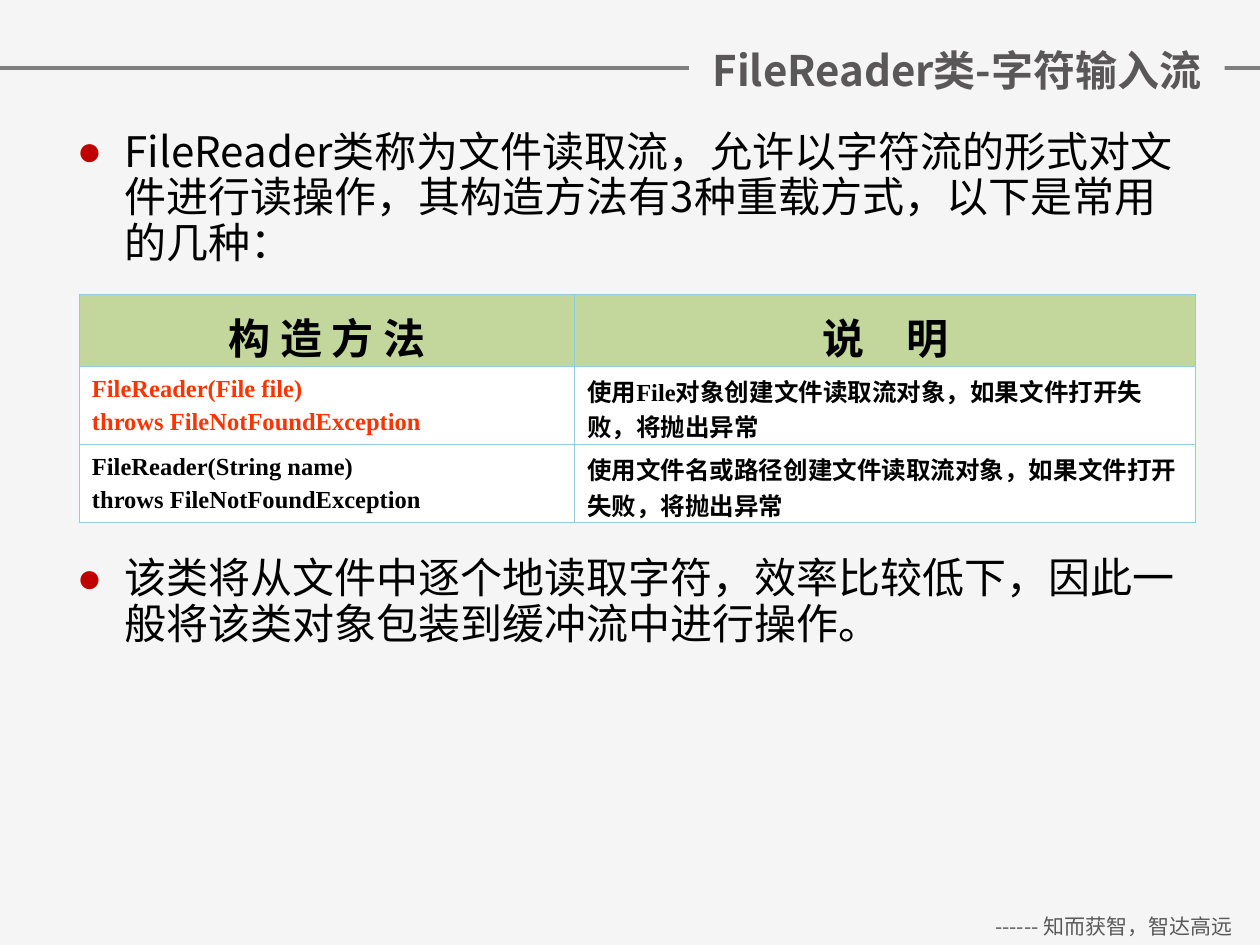
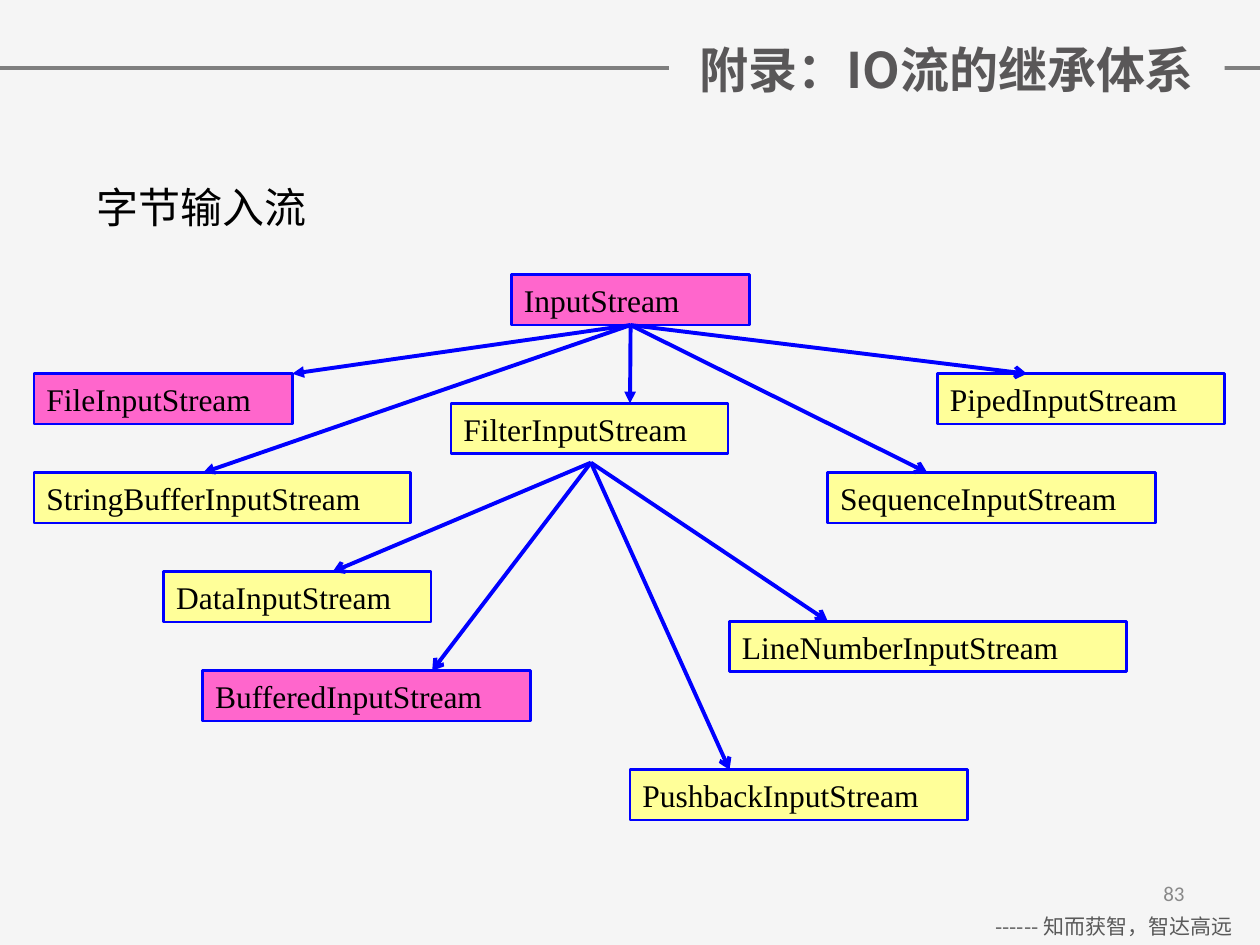
from collections import namedtuple
from dataclasses import dataclass

from lxml.etree import SubElement
from pptx import Presentation
from pptx.dml.color import RGBColor
from pptx.enum.shapes import MSO_CONNECTOR as CONN, MSO_SHAPE as SHAPE
from pptx.enum.text import MSO_ANCHOR as ANCHOR, MSO_AUTO_SIZE as AUTO, PP_ALIGN as ALIGN
from pptx.oxml.ns import qn
from pptx.util import Inches, Pt

Box = namedtuple("Box", "left top width height")
Node = namedtuple("Node", "name left width level fill")
Link = namedtuple("Link", "parent child tip head")


@dataclass(frozen=True)
class Theme:
    sans: str = "Noto Sans CJK SC"
    serif: str = "Times New Roman"
    number: str = "Calibri"
    paper: str = "F5F5F5"
    rule: str = "7F7F7F"
    title: str = "595758"
    footer: str = "595959"
    page: str = "898989"
    ink: str = "000000"
    bullet: str = "C00000"
    header: str = "C3D69B"
    cell: str = "FFFFFF"
    grid: str = "93CDDD"
    accent: str = "FF3300"
    key: str = "FF66CC"
    plain: str = "FFFF99"
    edge: str = "0000FF"
    small: int = 12
    code: int = 14
    label: int = 18
    body: int = 24
    large: int = 28


T = Theme()


def rgb(value):
    return RGBColor.from_string(value)


def inches(box):
    return [Inches(v) for v in box]


def add_run(p, text, size, color=T.ink, font=T.sans, bold=False):
    r = p.add_run()
    r.text = text
    r.font.size = Pt(size)
    r.font.bold = bold
    r.font.name = font
    r.font.color.rgb = rgb(color)
    SubElement(r.font._element, qn("a:ea"), typeface=T.sans)


def add_label(slide, box, text, size, color=T.ink, font=T.sans, align=ALIGN.LEFT):
    tf = slide.shapes.add_textbox(*inches(box)).text_frame
    tf.word_wrap = True
    tf.vertical_anchor = ANCHOR.MIDDLE
    p = tf.paragraphs[0]
    p.alignment = align
    add_run(p, text, size, color, font)


def add_line(slide, start, end, color, width, head=None):
    ends = [Inches(v) for v in (*start, *end)]
    line = slide.shapes.add_connector(CONN.STRAIGHT, *ends)
    line.line.color.rgb = rgb(color)
    line.line.width = Pt(width)
    if head:
        SubElement(line.line._get_or_add_ln(), qn("a:tailEnd"), type=head)
    SubElement(line._element.spPr, qn("a:effectLst"))
    return line


def place(sp, box):
    sp.left, sp.top, sp.width, sp.height = inches(box)


def add_title(slide, box, text, size):
    sp = slide.shapes.title
    place(sp, box)
    sp.fill.solid()
    sp.fill.fore_color.rgb = rgb(T.paper)
    tf = sp.text_frame
    tf.auto_size = AUTO.NONE
    tf.word_wrap = True
    tf.vertical_anchor = ANCHOR.MIDDLE
    p = tf.paragraphs[0]
    p.alignment = ALIGN.CENTER
    p.line_spacing = 1.0
    add_run(p, text, size, T.title, bold=True)


def style_master(prs, slide):
    master = prs.slide_master
    master.background.fill.solid()
    master.background.fill.fore_color.rgb = rgb(T.paper)
    add_line(slide, (0, 0.54), (10, 0.54), T.rule, 2)
    add_label(slide, Box(7.68, 7.2, 2.32, 0.3), "------ 知而获智，智达高远",
              T.small, T.footer, align=ALIGN.CENTER)
    for sp in list(slide.shapes)[-2:]:
        master.element.cSld.spTree.append(sp._element)


def add_bullets(slide, box, items):
    sp = slide.placeholders[1]
    place(sp, box)
    tf = sp.text_frame
    tf.auto_size = AUTO.NONE
    tf.vertical_anchor = ANCHOR.TOP
    for i, (text, before) in enumerate(items):
        p = tf.add_paragraph() if i else tf.paragraphs[0]
        p.line_spacing = 0.9
        p.space_before = Pt(before)
        pPr = p._p.get_or_add_pPr()
        pPr.set("marL", str(Inches(0.38)))
        pPr.set("indent", str(-Inches(0.38)))
        SubElement(SubElement(pPr, qn("a:buClr")), qn("a:srgbClr"), val=T.bullet)
        SubElement(pPr, qn("a:buChar"), char="●")
        add_run(p, text, T.body)


def set_borders(cell):
    tcPr = cell._tc.get_or_add_tcPr()
    for i, side in enumerate(("lnL", "lnR", "lnT", "lnB")):
        ln = SubElement(tcPr, qn(f"a:{side}"), w=str(Pt(0.75)))
        SubElement(SubElement(ln, qn("a:solidFill")), qn("a:srgbClr"), val=T.grid)
        tcPr.insert(i, ln)


def fill_cell(cell, lines, color, header):
    cell.fill.solid()
    cell.fill.fore_color.rgb = rgb(T.header if header else T.cell)
    cell.vertical_anchor = ANCHOR.MIDDLE
    cell.margin_top = Pt(6 if header else 0 if len(lines) > 1 else 3.5)
    cell.margin_bottom = 0
    set_borders(cell)
    for i, text in enumerate(lines):
        p = cell.text_frame.add_paragraph() if i else cell.text_frame.paragraphs[0]
        p.space_before = Pt(3.5 if i else 0)
        p._p.get_or_add_pPr().set("hangingPunct", "0")
        if header:
            p.alignment = ALIGN.CENTER
            add_run(p, text, T.body, bold=True)
        else:
            add_run(p, text, T.code, color, T.serif, bold=True)


def add_constructor_table(slide, box, rows):
    table = slide.shapes.add_table(len(rows), 2, *inches(box)).table
    for col, width in zip(table.columns, (3.93, box.width - 3.93)):
        col.width = Inches(width)
    for y, (color, *cells) in enumerate(rows):
        table.rows[y].height = Inches(0.62 if y else 0.5)
        for x, lines in enumerate(cells):
            fill_cell(table.cell(y, x), lines, T.ink if x else color, y == 0)


def add_node(slide, box, text, fill):
    sp = slide.shapes.add_shape(SHAPE.RECTANGLE, *inches(box))
    sp.shadow.inherit = False
    sp.fill.solid()
    sp.fill.fore_color.rgb = rgb(fill)
    sp.line.color.rgb = rgb(T.edge)
    sp.line.width = Pt(1.5)
    sp.text_frame.vertical_anchor = ANCHOR.MIDDLE
    p = sp.text_frame.paragraphs[0]
    p.alignment = ALIGN.LEFT
    add_run(p, text, T.label, font=T.serif)
    return sp


def add_stream_tree(slide, box, nodes, links):
    step = (box.height - 0.4) / max(n.level for n in nodes)
    tops = {n.name: box.top + step * n.level for n in nodes}
    shapes = {n.name: add_node(slide, Box(box.left + n.left, tops[n.name], n.width, 0.4),
                               n.name, n.fill) for n in nodes}
    root = nodes[0].name
    fork = (box.left + 4.42, tops["FilterInputStream"] + 0.47)
    for link in links:
        end = (box.left + link.tip, tops[link.child])
        line = add_line(slide, fork, end, T.edge, 2.25, link.head)
        if link.parent == root:
            line.begin_connect(shapes[root], 2)


def build_file_reader(prs):
    slide = prs.slides.add_slide(prs.slide_layouts[1])
    style_master(prs, slide)
    add_title(slide, Box(5.47, 0.1, 4.25, 0.9), "FileReader类-字符输入流", T.body)
    add_bullets(slide, Box(0.51, 0.99, 9, 4.77), [
        ("FileReader类称为文件读取流，允许以字符流的形式对文件进行读操作，"
         "其构造方法有3种重载方式，以下是常用的几种：", 0),
        ("该类将从文件中逐个地读取字符，效率比较低下，"
         "因此一般将该类对象包装到缓冲流中进行操作。", 166),
    ])
    throws = "throws FileNotFoundException"
    add_constructor_table(slide, Box(0.63, 2.34, 8.86, 1.74), [
        (T.ink, ["构 造 方 法"], ["说　明"]),
        (T.accent, ["FileReader(File file)", throws],
         ["使用File对象创建文件读取流对象，如果文件打开失败，将抛出异常"]),
        (T.ink, ["FileReader(String name)", throws],
         ["使用文件名或路径创建文件读取流对象，如果文件打开失败，将抛出异常"]),
    ])


def build_stream_hierarchy(prs):
    slide = prs.slides.add_slide(prs.slide_layouts[5])
    add_title(slide, Box(5.31, 0.26, 4.41, 0.57), "附录：IO流的继承体系", T.large)
    add_label(slide, Box(7.17, 6.83, 2.33, 0.52), "83", T.small, T.page, T.number, ALIGN.RIGHT)
    add_label(slide, Box(0.67, 1.39, 1.97, 0.5), "字节输入流", T.body, font=T.serif)
    root, mid = "InputStream", "FilterInputStream"
    nodes = [
        Node(root, 3.79, 1.89, 0, T.key),
        Node("FileInputStream", 0, 2.05, 2, T.key),
        Node("StringBufferInputStream", 0, 2.99, 4, T.plain),
        Node(mid, 3.31, 2.2, 2.6, T.plain),
        Node("DataInputStream", 1.03, 2.12, 6, T.plain),
        Node("BufferedInputStream", 1.34, 2.6, 8, T.key),
        Node("PipedInputStream", 7.17, 2.28, 2, T.plain),
        Node("SequenceInputStream", 6.3, 2.6, 4, T.plain),
        Node("LineNumberInputStream", 5.52, 3.15, 7, T.plain),
        Node("PushbackInputStream", 4.73, 2.68, 10, T.plain),
    ]
    links = [
        Link(root, "FileInputStream", 2.05, "triangle"),
        Link(root, "StringBufferInputStream", 1.34, "triangle"),
        Link(root, mid, 4.73, "triangle"),
        Link(root, "PipedInputStream", 7.88, "arrow"),
        Link(root, "SequenceInputStream", 7.09, "arrow"),
        Link(mid, "DataInputStream", 2.37, "arrow"),
        Link(mid, "BufferedInputStream", 3.16, "arrow"),
        Link(mid, "LineNumberInputStream", 6.3, "arrow"),
        Link(mid, "PushbackInputStream", 5.52, "arrow"),
    ]
    add_stream_tree(slide, Box(0.27, 2.18, 9.45, 4.33), nodes, links)


def main():
    prs = Presentation()
    prs.slide_width, prs.slide_height = Inches(10), Inches(7.5)
    build_file_reader(prs)
    build_stream_hierarchy(prs)
    prs.save("out.pptx")


if __name__ == "__main__":
    main()
